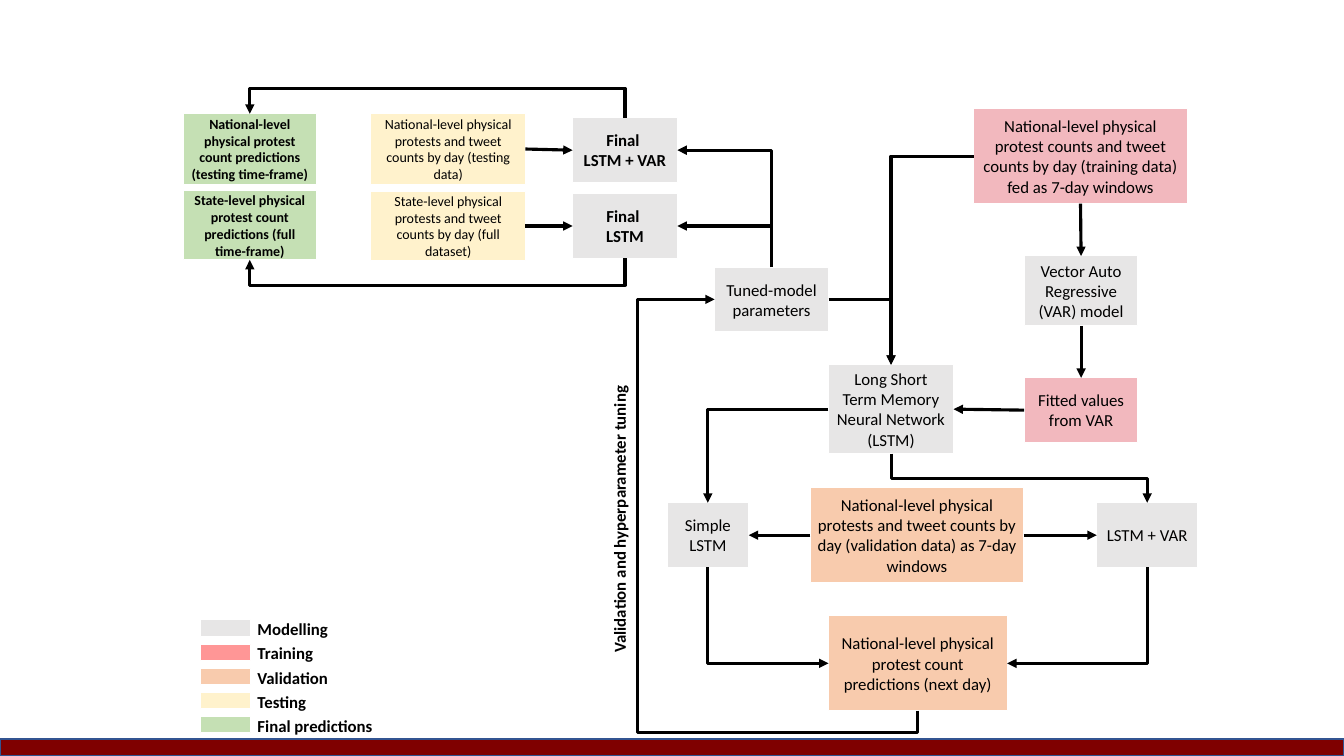
from lxml import etree
from pptx import Presentation
from pptx.dml.color import RGBColor
from pptx.enum.shapes import MSO_CONNECTOR, MSO_SHAPE
from pptx.enum.text import MSO_ANCHOR, PP_ALIGN
from pptx.oxml.ns import qn
from pptx.util import Cm, Pt

RECTANGLE = MSO_SHAPE.RECTANGLE
STRAIGHT, ELBOW = MSO_CONNECTOR.STRAIGHT, MSO_CONNECTOR.ELBOW
CENTER, LEFT_ALIGNED = PP_ALIGN.CENTER, PP_ALIGN.LEFT
MIDDLE = MSO_ANCHOR.MIDDLE
TOP, LEFT, BOTTOM, RIGHT = range(4)

BLACK = RGBColor(0x00, 0x00, 0x00)
WHITE = RGBColor(0xFF, 0xFF, 0xFF)
GREY = RGBColor(0xE7, 0xE6, 0xE6)
PINK = RGBColor(0xF2, 0xB8, 0xBE)
RED = RGBColor(0xFF, 0x96, 0x96)
ORANGE = RGBColor(0xF8, 0xCB, 0xAD)
YELLOW = RGBColor(0xFF, 0xF2, 0xCC)
GREEN = RGBColor(0xC5, 0xE0, 0xB4)
MAROON = RGBColor(0x7F, 0x00, 0x00)
BLUE = RGBColor(0x32, 0x54, 0x91)

# name: (left, top, width, height in cm, fill, text size, bold, text)
BOXES = {
    "training": (24.54, 2.74, 5.38, 2.39, PINK, 12, False,
                 "National-level physical protest counts and tweet counts by day "
                 "(training data) fed as 7-day windows"),
    "var": (25.81, 6.45, 2.87, 1.76, GREY, 12, False, "Vector Auto Regressive (VAR) model"),
    "fitted": (25.81, 9.52, 2.87, 1.63, PINK, 12, False, "Fitted values from VAR"),
    "lstm": (20.88, 9.19, 3.15, 2.24, GREY, 12, False,
             "Long Short Term Memory Neural Network (LSTM)"),
    "simple": (16.81, 12.67, 2.06, 1.63, GREY, 12, False, "Simple LSTM"),
    "lstm_var": (27.64, 12.67, 2.54, 1.63, GREY, 12, False, "LSTM + VAR"),
    "validation": (20.42, 12.29, 5.38, 2.39, ORANGE, 12, False,
                   "National-level physical protests and tweet counts by day "
                   "(validation data) as 7-day windows"),
    "next_day": (20.88, 15.52, 4.5, 2.39, ORANGE, 12, False,
                 "National-level physical protest count predictions (next day)"),
    "tuned": (18.01, 6.73, 2.87, 1.63, GREY, 12, False, "Tuned-model parameters"),
    "final_var": (14.43, 2.97, 2.64, 1.63, GREY, 12, True, "Final \nLSTM + VAR"),
    "final_lstm": (14.43, 4.88, 2.64, 1.63, GREY, 12, True, "Final \nLSTM"),
    "testing_nation": (9.35, 2.87, 3.89, 1.77, YELLOW, 10, False,
                       "National-level physical protests and tweet counts by day "
                       "(testing data)"),
    "testing_state": (9.35, 4.82, 3.89, 1.75, YELLOW, 10, False,
                      "State-level physical protests and tweet counts by day (full dataset)"),
    "result_nation": (4.62, 2.87, 3.35, 1.77, GREEN, 10, True,
                      "National-level physical protest count predictions "
                      "(testing time-frame)"),
    "result_state": (4.62, 4.8, 3.35, 1.75, GREEN, 10, True,
                     "State-level physical protest count predictions (full time-frame)"),
}

STRAIGHT_ARROWS = [
    ("training", BOTTOM, "var", TOP),
    ("var", BOTTOM, "fitted", TOP),
    ("fitted", LEFT, "lstm", RIGHT),
    ("validation", LEFT, "simple", RIGHT),
    ("validation", RIGHT, "lstm_var", LEFT),
    ("testing_nation", RIGHT, "final_var", LEFT),
    ("testing_state", RIGHT, "final_lstm", LEFT),
]

# from, side, to, side, then the y and x (cm) of any further bends
ELBOW_ARROWS = [
    ("training", LEFT, "lstm", TOP),
    ("tuned", RIGHT, "lstm", TOP),
    ("lstm", LEFT, "simple", TOP),
    ("lstm", BOTTOM, "lstm_var", TOP, 12.05),
    ("simple", BOTTOM, "next_day", LEFT),
    ("lstm_var", BOTTOM, "next_day", RIGHT),
    ("next_day", BOTTOM, "tuned", LEFT, 18.47, 16.06),
    ("tuned", TOP, "final_var", RIGHT),
    ("tuned", TOP, "final_lstm", RIGHT),
    ("final_lstm", BOTTOM, "result_state", BOTTOM, 7.19),
    ("final_var", TOP, "result_nation", TOP, 2.23),
]

LEGEND = [("Modelling", GREY), ("Training", RED), ("Validation", ORANGE),
          ("Testing", YELLOW), ("Final predictions", GREEN)]


def write_text(frame, text, size, bold, align):
    frame.text = text
    for para in frame.paragraphs:
        para.alignment = align
        para.font.name = "Calibri"
        para.font.size = Pt(size)
        para.font.bold = bold
        para.font.color.rgb = BLACK


def add_rectangle(page, left, top, width, height, fill, line=WHITE, weight=0.75):
    box = page.shapes.add_shape(RECTANGLE, Cm(left), Cm(top), Cm(width), Cm(height))
    box.shadow.inherit = False
    box.fill.solid()
    box.fill.fore_color.rgb = fill
    box.line.color.rgb = line
    box.line.width = Pt(weight)
    return box


def add_step(page, left, top, width, height, fill, size, bold, text):
    box = add_rectangle(page, left, top, width, height, fill)
    frame = box.text_frame
    frame.word_wrap = True
    frame.vertical_anchor = MIDDLE
    frame.margin_left = frame.margin_right = Cm(0.18)
    frame.margin_top = frame.margin_bottom = Cm(0.1)
    write_text(frame, text, size, bold, CENTER)
    return box


def add_label(page, left, top, width, text, align=LEFT_ALIGNED):
    label = page.shapes.add_textbox(Cm(left), Cm(top), Cm(width), Cm(0.77))
    label.text_frame.word_wrap = True
    write_text(label.text_frame, text, 12, True, align)
    return label


def add_arrow(page, kind, start, start_side, end, end_side):
    arrow = page.shapes.add_connector(kind, 0, 0, 0, 0)
    arrow.begin_connect(start, start_side)
    arrow.end_connect(end, end_side)
    arrow.line.color.rgb = BLACK
    arrow.line.width = Pt(2.25)
    etree.SubElement(arrow.line._get_or_add_ln(), qn("a:tailEnd"), type="triangle")
    etree.SubElement(arrow._element.spPr, qn("a:effectLst"))
    return arrow


def turn_upright(arrow, dx, dy):
    """Rotate an elbow so that it leaves its start vertically."""
    middle_x = (arrow.begin_x + arrow.end_x) // 2
    middle_y = (arrow.begin_y + arrow.end_y) // 2
    arrow.width, arrow.height = abs(dy), abs(dx)
    arrow.left = middle_x - arrow.width // 2
    arrow.top = middle_y - arrow.height // 2
    frame = arrow._element.spPr.find(qn("a:xfrm"))
    for flip in ("flipH", "flipV"):
        frame.attrib.pop(flip, None)
    if dx < 0 < dy:
        frame.set("rot", "5400000")
    else:
        frame.set("rot", "16200000")
        frame.set("flipH" if dy > 0 else "flipV", "1")


def add_elbow(page, start, start_side, end, end_side, bend_y=None, bend_x=None):
    arrow = add_arrow(page, ELBOW, start, start_side, end, end_side)
    dx, dy = arrow.end_x - arrow.begin_x, arrow.end_y - arrow.begin_y
    ratios = []
    if bend_y is not None:
        ratios.append((Cm(bend_y) - arrow.begin_y) / dy)
    if bend_x is not None:
        ratios.append((Cm(bend_x) - arrow.begin_x) / dx)

    geometry = arrow._element.spPr.find(qn("a:prstGeom"))
    geometry.set("prst", f"bentConnector{2 + len(ratios)}")
    guides = geometry.find(qn("a:avLst"))
    for number, ratio in enumerate(ratios, 1):
        etree.SubElement(guides, qn("a:gd"), name=f"adj{number}",
                         fmla=f"val {round(ratio * 100000)}")
    if start_side in (TOP, BOTTOM):
        turn_upright(arrow, dx, dy)


def add_legend(page):
    for row, (name, color) in enumerate(LEGEND):
        top = 15.62 + 0.61 * row
        add_rectangle(page, 5.05, top, 1.27, 0.41, color)
        add_label(page, 6.24, top - 0.15, 3.89, name)


def main():
    deck = Presentation()
    deck.slide_width, deck.slide_height = Cm(33.87), Cm(19.05)
    page = deck.slides.add_slide(deck.slide_layouts[6])

    steps = {name: add_step(page, *box) for name, box in BOXES.items()}
    for start, start_side, end, end_side in STRAIGHT_ARROWS:
        add_arrow(page, STRAIGHT, steps[start], start_side, steps[end], end_side)
    for start, start_side, end, end_side, *bends in ELBOW_ARROWS:
        add_elbow(page, steps[start], start_side, steps[end], end_side, *bends)

    tuning = add_label(page, 11.05, 12.7, 9.12, "Validation and hyperparameter tuning", CENTER)
    tuning.rotation = 270
    add_legend(page)
    add_rectangle(page, 0, 18.62, 33.87, 0.43, MAROON, BLUE, 1)
    deck.save("out.pptx")


if __name__ == "__main__":
    main()
